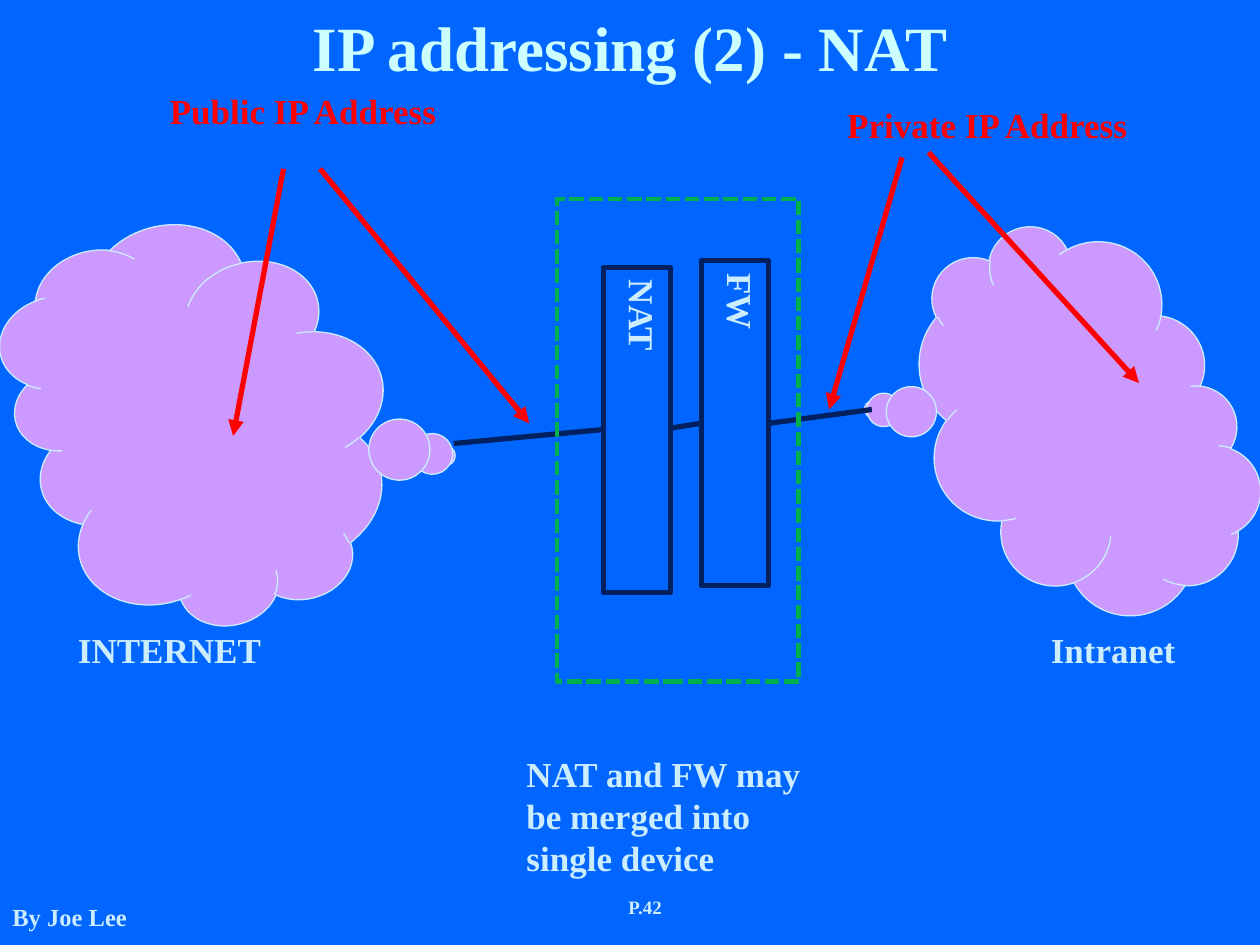
from dataclasses import dataclass

from lxml.etree import SubElement
from pptx import Presentation
from pptx.dml.color import RGBColor
from pptx.enum.dml import MSO_LINE
from pptx.enum.shapes import MSO_CONNECTOR, MSO_SHAPE
from pptx.enum.text import MSO_ANCHOR as Anchor, PP_ALIGN as Align
from pptx.oxml.ns import qn
from pptx.util import Inches, Pt


@dataclass(frozen=True)
class Theme:
    font: str = "Times New Roman"
    background: str = "0066FF"
    title: str = "CCFFFF"
    text: str = "CCECFF"
    cloud: str = "CC99FF"
    device: str = "002060"
    merged: str = "00B050"
    accent: str = "FF0000"
    title_size: float = 36
    label_size: float = 20
    author_size: float = 14
    page_size: float = 10.8
    thin: float = 0.75
    thick: float = 3


class NetworkSlide:
    """Draws the elements of a network diagram on one slide."""

    def __init__(self, presentation, theme):
        self.theme = theme
        self.slide = presentation.slides.add_slide(presentation.slide_layouts[5])
        fill = self.slide.background.fill
        fill.solid()
        fill.fore_color.rgb = RGBColor.from_string(theme.background)

    def set_text(self, shape, text, size, color, align=Align.CENTER, anchor=Anchor.TOP,
                 insets=(0.1, 0.05, 0.1, 0.05)):
        frame = shape.text_frame
        frame.text = text
        frame.word_wrap = True
        frame.vertical_anchor = anchor
        frame.margin_left, frame.margin_top, frame.margin_right, frame.margin_bottom = map(Inches, insets)
        paragraph = frame.paragraphs[0]
        paragraph.alignment = align
        font = paragraph.runs[0].font
        font.name, font.size, font.bold = self.theme.font, Pt(size), True
        font.color.rgb = RGBColor.from_string(color)

    def title(self, text, left, top, width, height):
        shape = self.slide.shapes.title
        shape.left, shape.top, shape.width, shape.height = map(Inches, (left, top, width, height))
        self.set_text(shape, text, self.theme.title_size, self.theme.title,
                      anchor=Anchor.BOTTOM, insets=(0, 0, 0, 0))

    def label(self, text, box, size=None, color=None, align=Align.CENTER, top_inset=0.05):
        shape = self.slide.shapes.add_textbox(*map(Inches, box))
        self.set_text(shape, text, size or self.theme.label_size, color or self.theme.text,
                      align, insets=(0.1, top_inset, 0.1, 0))

    def outline(self, line, color, width):
        line.color.rgb = RGBColor.from_string(color)
        line.width = Pt(width)

    def shape(self, kind, box, color, width):
        shape = self.slide.shapes.add_shape(kind, *map(Inches, box))
        shape.shadow.inherit = False
        shape.fill.background()
        self.outline(shape.line, color, width)
        return shape

    def cloud(self, box, rotation):
        shape = self.shape(MSO_SHAPE.CLOUD_CALLOUT, box, self.theme.text, self.theme.thin)
        shape.fill.solid()
        shape.fill.fore_color.rgb = RGBColor.from_string(self.theme.cloud)
        shape.adjustments[0], shape.adjustments[1] = -0.208, 0.625
        shape.rotation = rotation

    def device(self, text, left, top):
        shape = self.shape(MSO_SHAPE.RECTANGLE, (left, top, 0.53, 2.58),
                           self.theme.device, self.theme.thick)
        self.set_text(shape, text, self.theme.label_size, self.theme.text,
                      insets=(0.05, 0.1, 0.05, 0.1))
        shape.text_frame._txBody.bodyPr.set("vert", "eaVert")

    def dashed_frame(self, box):
        shape = self.shape(MSO_SHAPE.RECTANGLE, box, self.theme.merged, 2.75)
        shape.line.dash_style = MSO_LINE.SQUARE_DOT

    def line(self, start, end, color, arrow=False):
        connector = self.slide.shapes.add_connector(
            MSO_CONNECTOR.STRAIGHT, *map(Inches, start + end))
        self.outline(connector.line, color, self.theme.thick)
        properties = connector._element.spPr
        if arrow:
            SubElement(properties.find(qn("a:ln")), qn("a:tailEnd"), type="triangle")
        SubElement(properties, qn("a:effectLst"))


theme = Theme()
presentation = Presentation()
presentation.slide_width, presentation.slide_height = Inches(10), Inches(7.5)
diagram = NetworkSlide(presentation, theme)

diagram.label("By Joe Lee", (0, 6.83, 3.17, 0.58), theme.author_size,
              align=Align.LEFT, top_inset=0.43)
diagram.label("P.42", (4.08, 6.83, 2.08, 0.58), theme.page_size, top_inset=0.37)
diagram.title("IP addressing (2) - NAT", 0, 0, 10, 0.67)

diagram.cloud((0, 1.91, 3.22, 2.91), 257.2)
diagram.cloud((6.95, 2.16, 3.22, 2.39), 69.6)
diagram.device("FW", 5.57, 2.07)
diagram.device("NAT", 4.79, 2.12)

for start, end in [((6.92, 3.25), (6.1, 3.36)),
                   ((4.78, 3.41), (3.6, 3.52)),
                   ((5.56, 3.36), (5.31, 3.4))]:
    diagram.line(start, end, theme.device)

diagram.dashed_frame((4.42, 1.58, 1.92, 3.83))
diagram.label("NAT and FW may be merged into single device", (4.08, 5.92, 2.42, 1.1),
              align=Align.LEFT)
diagram.label("Intranet", (8.08, 4.94, 1.51, 0.44))
diagram.label("INTERNET", (0.44, 4.94, 1.81, 0.44))

for start, end in [((7.16, 1.25), (6.58, 3.25)),
                   ((7.37, 1.21), (9.04, 3.04)),
                   ((2.25, 1.34), (1.85, 3.46)),
                   ((2.54, 1.34), (4.2, 3.36))]:
    diagram.line(start, end, theme.accent, arrow=True)

for text, left, top in [("Private IP Address", 6.51, 0.77), ("Public IP Address", 1.08, 0.66)]:
    diagram.label(text, (left, top, 2.65, 0.44), color=theme.accent)

presentation.save("out.pptx")
